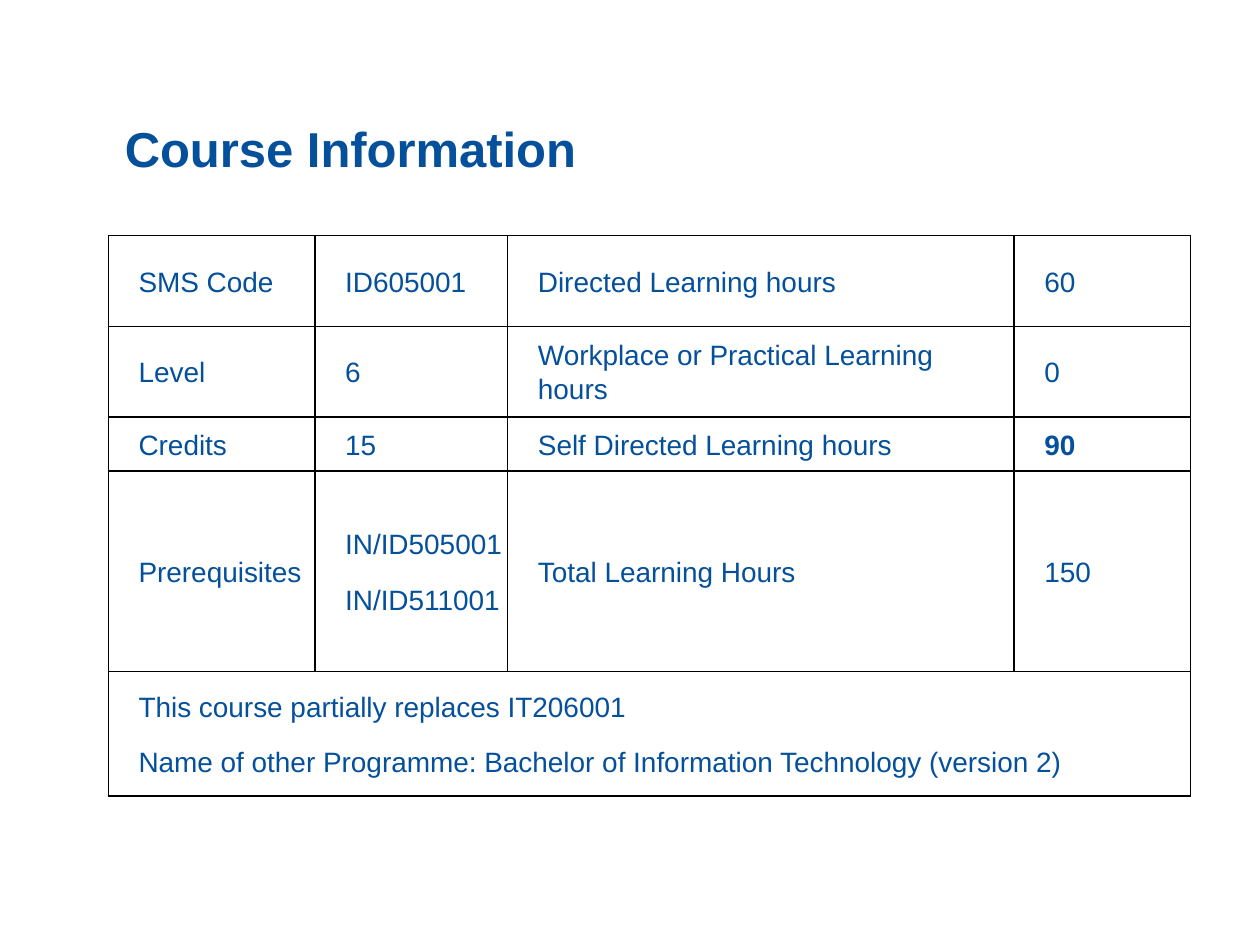
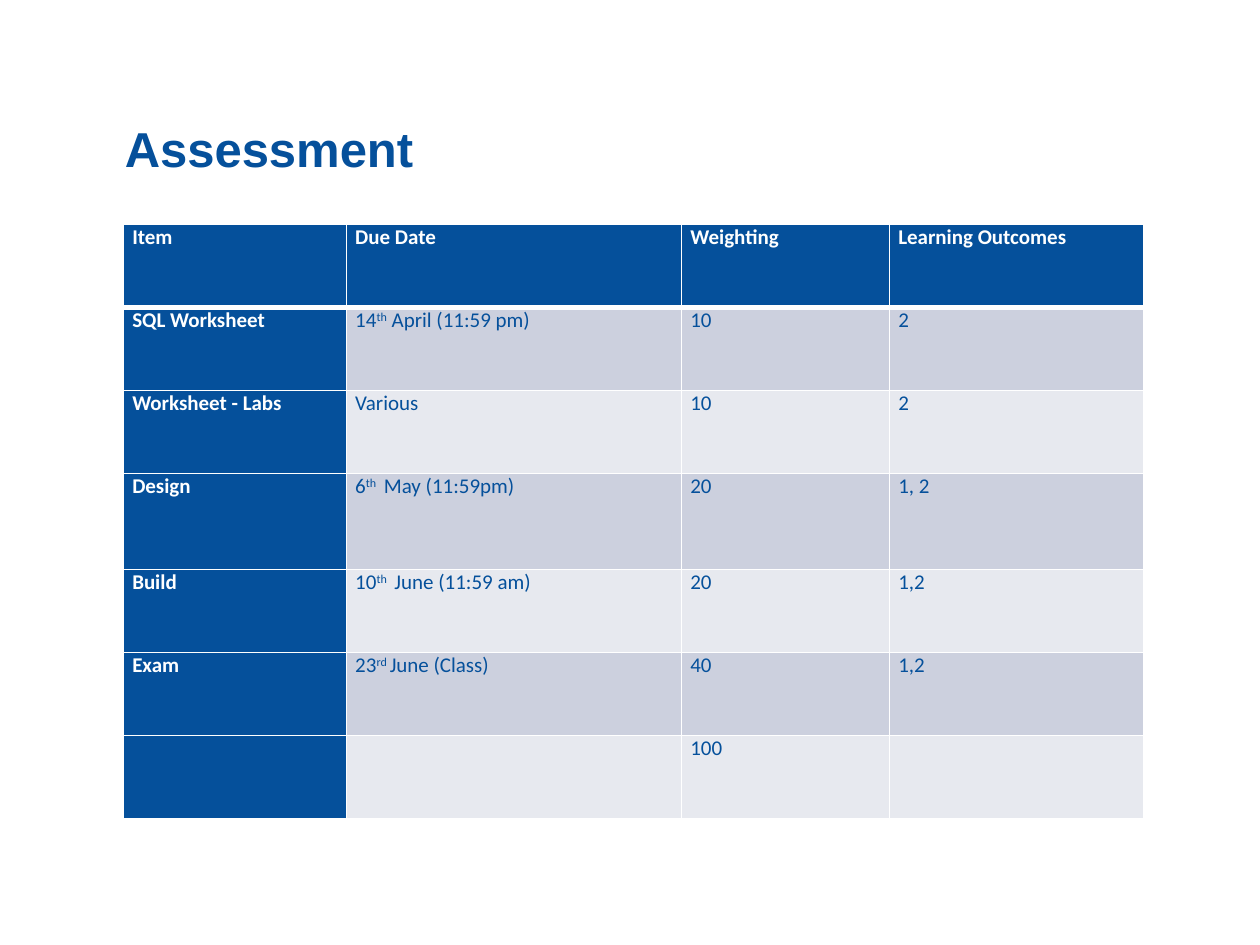
"""Builds the course information and assessment slides."""
from dataclasses import dataclass
from itertools import product

from lxml.etree import SubElement
from pptx import Presentation
from pptx.dml.color import RGBColor
from pptx.enum.text import MSO_ANCHOR as Anchor, PP_ALIGN as Align
from pptx.oxml.ns import qn
from pptx.util import Inches, Pt


@dataclass(frozen=True)
class Theme:
    blue: str = "05509B"
    white: str = "FFFFFF"
    black: str = "000000"
    band_dark: str = "CCD0DE"
    band_light: str = "E7E9EF"
    heading_font: str = "Arial"
    table_font: str = "Calibri"
    title_size: int = 28
    info_size: int = 16
    assessment_size: int = 12
    paragraph_gap: int = 12


@dataclass(frozen=True)
class TextStyle:
    font: str
    size: int
    color: str
    bold: bool = False


@dataclass(frozen=True)
class Part:
    text: str
    bold: bool = False
    raised: bool = False


class Deck:
    def __init__(self, theme):
        self.theme = theme
        self.presentation = Presentation()
        self.presentation.slide_width = Inches(10)
        self.presentation.slide_height = Inches(7.5)
        self.slide = None

    def add_slide(self, heading):
        layout = self.presentation.slide_layouts[5]
        self.slide = self.presentation.slides.add_slide(layout)
        title = self.slide.shapes.title
        title.left, title.top = Inches(0.89), Inches(0.22)
        title.width, title.height = Inches(6.1), Inches(1.24)
        title.text_frame.vertical_anchor = Anchor.BOTTOM
        paragraph = title.text_frame.paragraphs[0]
        paragraph.alignment = Align.LEFT
        theme = self.theme
        style = TextStyle(theme.heading_font, theme.title_size, theme.blue, True)
        self.add_run(paragraph, Part(heading), style)

    def add_run(self, paragraph, part, style):
        run = paragraph.add_run()
        run.text = part.text
        run.font.name = style.font
        run.font.size = Pt(style.size)
        run.font.bold = style.bold or part.bold
        run.font.color.rgb = RGBColor.from_string(style.color)
        if part.raised:
            run._r.get_or_add_rPr().set("baseline", "30000")

    def add_table(self, left, top, widths, heights):
        table = self.slide.shapes.add_table(
            len(heights), len(widths), Inches(left), Inches(top),
            Inches(sum(widths)), Inches(sum(heights))).table
        table.first_row = table.horz_banding = False
        for column, width in zip(table.columns, widths):
            column.width = Inches(width)
        for row, height in zip(table.rows, heights):
            row.height = Inches(height)
        return table

    def format_cell(self, cell, margins, border, fill=None, top=1, bottom=1):
        (cell.margin_left, cell.margin_top,
         cell.margin_right, cell.margin_bottom) = map(Inches, margins)
        properties = cell._tc.get_or_add_tcPr()
        for side, points in zip("LRTB", (1, 1, top, bottom)):
            line = SubElement(properties, qn(f"a:ln{side}"), w=str(Pt(points)))
            solid = SubElement(line, qn("a:solidFill"))
            SubElement(solid, qn("a:srgbClr"), val=border)
        if fill:
            cell.fill.solid()
            cell.fill.fore_color.rgb = RGBColor.from_string(fill)
        else:
            cell.fill.background()

    def write_cell(self, cell, paragraphs, style, gap=0, indent=0, spacing=None):
        for index, parts in enumerate(paragraphs):
            frame = cell.text_frame
            paragraph = frame.add_paragraph() if index else frame.paragraphs[0]
            paragraph.space_before = Pt(gap)
            paragraph.line_spacing = spacing
            if indent:
                paragraph._p.get_or_add_pPr().set("marL", str(Inches(indent)))
            for part in parts:
                self.add_run(paragraph, part, style)


def lines(*texts):
    return [[Part(text)] for text in texts]


def date(day, suffix, rest):
    return [[Part(day), Part(suffix, raised=True), Part(rest)]]


COURSE_FACTS = [
    [lines("SMS Code"), lines("ID605001"),
     lines("Directed Learning hours"), lines("60")],
    [lines("Level"), lines("6"),
     lines("Workplace or Practical Learning hours"), lines("0")],
    [lines("Credits"), lines("15"),
     lines("Self Directed Learning hours"), [[Part("90", bold=True)]]],
    [lines("Prerequisites"), lines("IN/ID505001", "IN/ID511001"),
     lines("Total Learning Hours"), lines("150")],
    [lines("This course partially replaces IT206001",
           "Name of other Programme: Bachelor of Information Technology (version 2)"),
     [], [], []],
]

ASSESSMENTS = [
    [lines("Item"), lines("Due Date"), lines("Weighting"), lines("Learning Outcomes")],
    [lines("SQL Worksheet"), date("14", "th", " April (11:59 pm)"), lines("10"), lines("2")],
    [lines("Worksheet - Labs"), lines("Various"), lines("10"), lines("2")],
    [lines("Design"), date("6", "th ", " May (11:59pm)"), lines("20"), lines("1, 2")],
    [lines("Build"), date("10", "th ", " June (11:59 am)"), lines("20"), lines("1,2")],
    [lines("Exam"), date("23", "rd ", "June (Class)"), lines("40"), lines("1,2")],
    [[], [], lines("100"), []],
]


def build_course_information(deck):
    theme = deck.theme
    deck.add_slide("Course Information")
    facts = deck.add_table(0.86, 1.87, [1.64, 1.53, 4.02, 1.4],
                           [0.72, 0.72, 0.43, 1.59, 0.99])
    style = TextStyle(theme.heading_font, theme.info_size, theme.blue)
    for row, column in product(range(5), range(4)):
        cell = facts.cell(row, column)
        deck.format_cell(cell, [0.04] * 4, theme.black)
        cell.vertical_anchor = Anchor.MIDDLE
        deck.write_cell(cell, COURSE_FACTS[row][column], style,
                        theme.paragraph_gap, indent=0.2, spacing=1.1)
    facts.cell(4, 0).merge(facts.cell(4, 3))


def build_assessment(deck):
    theme = deck.theme
    deck.add_slide("Assessment")
    heights = [0.76 if row == 3 else 0.66 for row in range(7)]
    schedule = deck.add_table(0.98, 1.78, [1.77, 2.66, 1.65, 2.02], heights)
    label = TextStyle(theme.table_font, theme.assessment_size, theme.white, True)
    detail = TextStyle(theme.table_font, theme.assessment_size, theme.blue)
    for row, column in product(range(7), range(4)):
        is_label = row == 0 or column == 0
        band = theme.band_dark if row % 2 else theme.band_light
        cell = schedule.cell(row, column)
        deck.format_cell(cell, (0.07, 0, 0.07, 0), theme.white,
                         theme.blue if is_label else band,
                         top=3 if row == 1 else 1, bottom=3 if row == 0 else 1)
        deck.write_cell(cell, ASSESSMENTS[row][column],
                        label if is_label else detail,
                        theme.paragraph_gap if row else 0)


def main():
    deck = Deck(Theme())
    build_course_information(deck)
    build_assessment(deck)
    deck.presentation.save("out.pptx")


if __name__ == "__main__":
    main()
